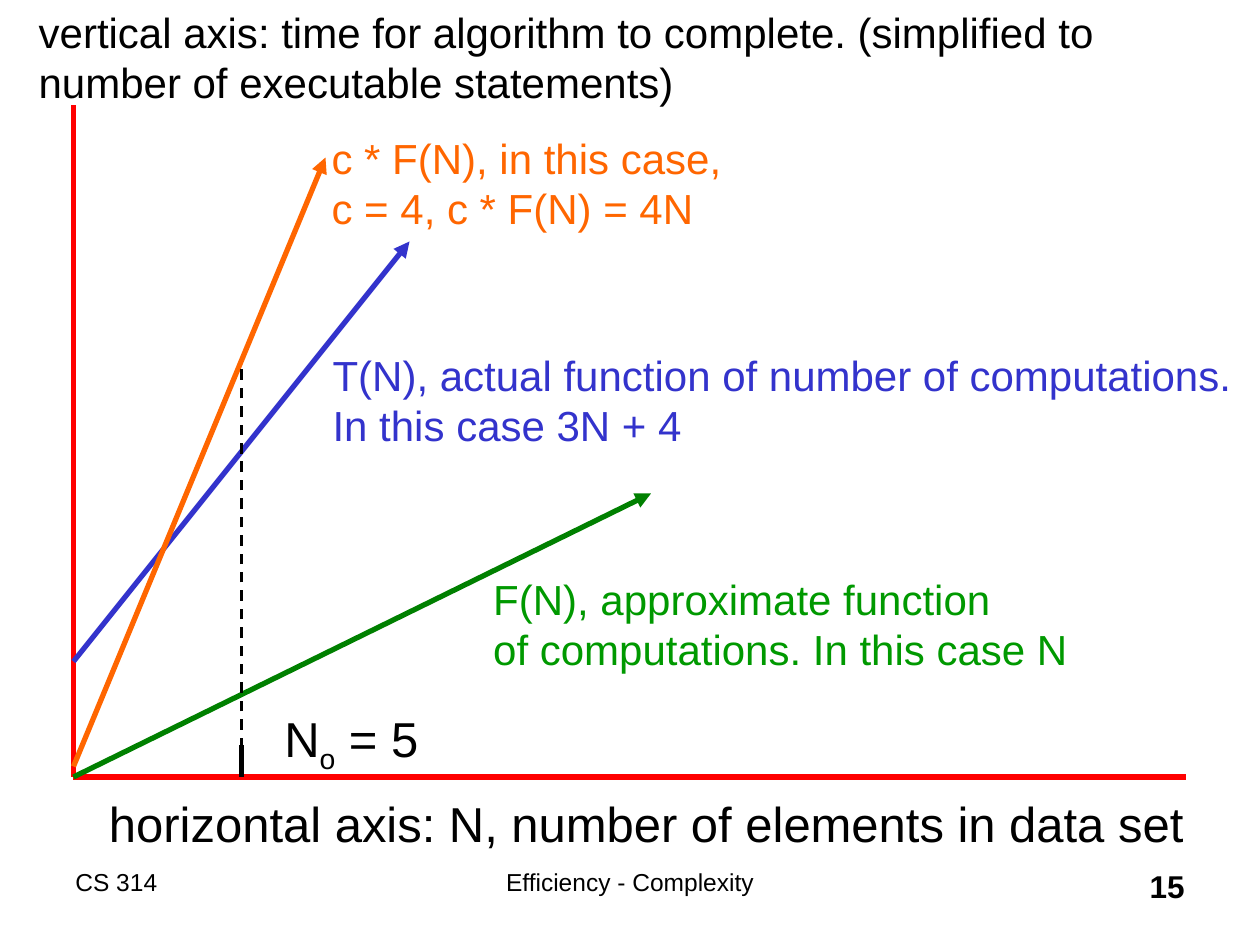
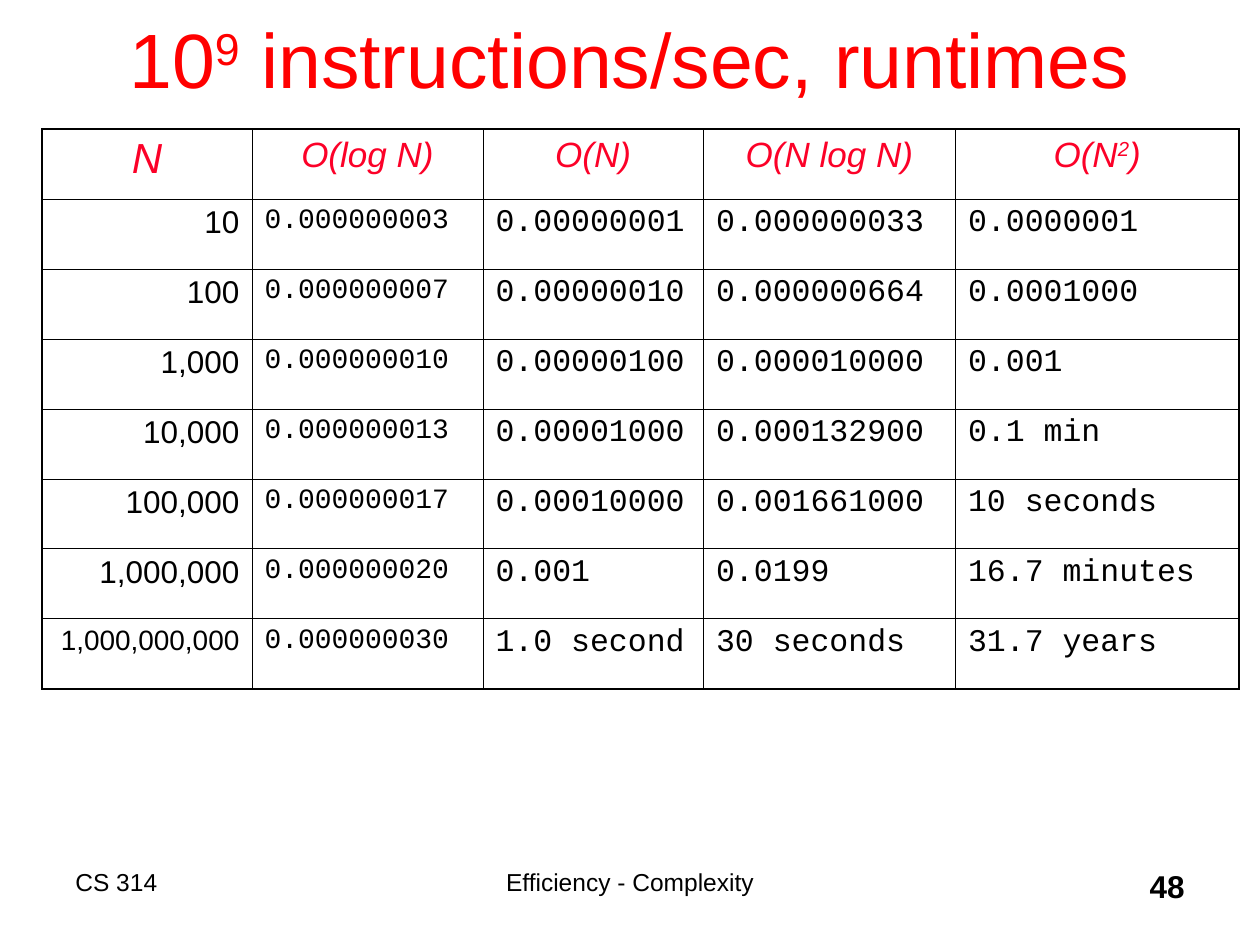
from dataclasses import dataclass

from lxml.etree import SubElement
from pptx import Presentation
from pptx.dml.color import RGBColor
from pptx.enum.dml import MSO_LINE
from pptx.enum.shapes import MSO_CONNECTOR
from pptx.enum.text import MSO_ANCHOR, MSO_AUTO_SIZE, PP_ALIGN
from pptx.oxml.ns import qn
from pptx.slide import Slide
from pptx.table import _Cell
from pptx.text.text import TextFrame
from pptx.util import Emu, Pt

LEFT, MID, RIGHT = PP_ALIGN.LEFT, PP_ALIGN.CENTER, PP_ALIGN.RIGHT
TOP, MIDDLE = MSO_ANCHOR.TOP, MSO_ANCHOR.MIDDLE
FIXED = MSO_AUTO_SIZE.NONE
DASH = MSO_LINE.DASH
STRAIGHT = MSO_CONNECTOR.STRAIGHT

BLACK = RGBColor(0x00, 0x00, 0x00)
RED = RGBColor(0xFF, 0x00, 0x00)
ROSE = RGBColor(0xFC, 0x01, 0x28)
BLUE = RGBColor(0x33, 0x33, 0xCC)
GREEN = RGBColor(0x00, 0x80, 0x00)
LEAF = RGBColor(0x00, 0x99, 0x00)
ORANGE = RGBColor(0xFF, 0x66, 0x00)

SANS = "Arial"
MONO = "Courier New"
SCALE = 7620
WIDE, HIGH = 1200, 900
THIN, THICK = 0.45, 1.08


def px(count: int) -> Emu:
    return Emu(count * SCALE)


@dataclass(frozen=True)
class Run:
    text: str
    base: int = 0


@dataclass(frozen=True)
class Style:
    size: int
    color: RGBColor = BLACK
    font: str = SANS
    align: PP_ALIGN = LEFT
    bold: bool = False
    slant: bool = False
    gap: float = 0


@dataclass(frozen=True)
class Label:
    box: tuple[int, int, int, int]
    runs: tuple[Run, ...]
    style: Style
    anchor: MSO_ANCHOR = TOP


@dataclass(frozen=True)
class Stroke:
    start: tuple[int, int]
    end: tuple[int, int]
    color: RGBColor
    arrow: bool = False
    dashed: bool = False


FOOT = Style(14)
FOOT_MID = Style(14, align=MID)
PAGE = Style(18, align=RIGHT, bold=True)
TITLE = Style(44, RED, align=MID)
AXIS = Style(28, gap=7)

ORIGIN = (70, 740)
STROKES = (
    Stroke(ORIGIN, (1130, 740), RED),
    Stroke(ORIGIN, (70, 100), RED),
    Stroke((70, 630), (390, 230), BLUE, arrow=True),
    Stroke(ORIGIN, (620, 470), GREEN, arrow=True),
    Stroke((230, 710), (230, 740), BLACK),
    Stroke((70, 730), (310, 150), ORANGE, arrow=True),
    Stroke((230, 730), (230, 350), BLACK, dashed=True),
)
LABELS = (
    Label((92, 750, 1060, 68),
          (Run("horizontal axis: N, number of elements in data set"),), AXIS),
    Label((25, 0, 1050, 108),
          (Run("vertical axis: time for algorithm to complete. (simplified to\n"
               "number of executable statements)"),), Style(24, gap=6)),
    Label((305, 327, 895, 108),
          (Run("T(N), actual function of number of computations.\n"
               "In this case 3N + 4"),), Style(24, BLUE, gap=6)),
    Label((458, 540, 590, 108),
          (Run("F(N), approximate function\n"
               "of computations. In this case N"),), Style(24, LEAF, gap=6)),
    Label((259, 669, 170, 76), (Run("N"), Run("o", -25), Run(" = 5")), AXIS),
    Label((304, 120, 420, 108),
          (Run("c * F(N), in this case,\nc = 4, c * F(N) = 4N"),),
          Style(24, ORANGE, gap=6)),
)

HEADS = (
    (Run("N"),),
    (Run("O(log N)"),),
    (Run("O(N)"),),
    (Run("O(N log N)"),),
    (Run("O(N"), Run("2", 30), Run(")")),
)
TIMES = (
    ("10", "0.000000003", "0.00000001", "0.000000033", "0.0000001"),
    ("100", "0.000000007", "0.00000010", "0.000000664", "0.0001000"),
    ("1,000", "0.000000010", "0.00000100", "0.000010000", "0.001"),
    ("10,000", "0.000000013", "0.00001000", "0.000132900", "0.1 min"),
    ("100,000", "0.000000017", "0.00010000", "0.001661000", "10 seconds"),
    ("1,000,000", "0.000000020", "0.001", "0.0199", "16.7 minutes"),
    ("1,000,000,000", "0.000000030", "1.0 second", "30 seconds", "31.7 years"),
)
WIDTHS = (200, 220, 210, 240, 270)


def write(frame: TextFrame, runs: tuple[Run, ...], style: Style) -> None:
    para = frame.paragraphs[0]
    para.alignment = style.align
    para.space_before = Pt(style.gap)
    for run in runs:
        for pos, line in enumerate(run.text.split("\n")):
            if pos:
                para.add_line_break()
            part = para.add_run()
            part.text = line
            font = part.font
            font.name, font.size = style.font, Pt(style.size)
            font.bold, font.italic = style.bold, style.slant
            font.color.rgb = style.color
            if run.base:
                part._r.get_or_add_rPr().set("baseline", str(run.base * 1000))


def add_label(slide: Slide, label: Label) -> None:
    frame = slide.shapes.add_textbox(*map(px, label.box)).text_frame
    frame.word_wrap = True
    frame.auto_size = FIXED
    frame.vertical_anchor = label.anchor
    write(frame, label.runs, label.style)


def add_stroke(slide: Slide, stroke: Stroke) -> None:
    link = slide.shapes.add_connector(
        STRAIGHT, *map(px, stroke.start + stroke.end))
    link.line.color.rgb = stroke.color
    link.line.width = Pt(1.5 if stroke.dashed else 3)
    if stroke.dashed:
        link.line.dash_style = DASH
    props = link._element.spPr
    if stroke.arrow:
        SubElement(props.find(qn("a:ln")), qn("a:tailEnd"), type="triangle")
    SubElement(props, qn("a:effectLst"))


def add_edge(cell: _Cell, side: str, width: float) -> None:
    props = cell._tc.get_or_add_tcPr()
    line = SubElement(props, qn(f"a:ln{side}"), w=str(Pt(width)))
    fill = SubElement(line, qn("a:solidFill"))
    SubElement(fill, qn("a:srgbClr"), val=str(BLACK))


def pick_style(row: int, col: int, text: str) -> Style:
    if row == 0:
        size = 20 if col else 24
        return Style(size, ROSE, align=MID, slant=True, gap=size / 4)
    size = 16 if col == 1 or len(text) > 12 and col == 0 else 18
    font, align = (MONO, LEFT) if col else (SANS, RIGHT)
    return Style(size, font=font, align=align, gap=size / 4)


def add_times(slide: Slide) -> None:
    rows = (HEADS, *(tuple((Run(text),) for text in line) for line in TIMES))
    table = slide.shapes.add_table(
        len(rows), len(WIDTHS), px(40), px(123), px(sum(WIDTHS)), px(533)).table
    table.first_row = table.horz_banding = False
    for col, width in zip(table.columns, WIDTHS):
        col.width = px(width)
    for row, line in enumerate(rows):
        for col, runs in enumerate(line):
            cell = table.cell(row, col)
            outer = {"L": col == 0, "R": col == len(WIDTHS) - 1,
                     "T": row == 0, "B": row == len(rows) - 1}
            for side, edge in outer.items():
                add_edge(cell, side, THICK if edge else THIN)
            cell.fill.background()
            write(cell.text_frame, runs, pick_style(row, col, runs[0].text))


def add_slide(deck, page: int) -> Slide:
    slide = deck.slides.add_slide(deck.slide_layouts[6])
    for left, width, text, style in (
        (60, 300, "CS 314", FOOT),
        (370, 460, "Efficiency - Complexity", FOOT_MID),
        (890, 250, str(page), PAGE),
    ):
        add_label(slide, Label((left, 820, width, 60), (Run(text),), style))
    return slide


def main() -> None:
    deck = Presentation()
    deck.slide_width, deck.slide_height = px(WIDE), px(HIGH)

    graph = add_slide(deck, 15)
    for stroke in STROKES:
        add_stroke(graph, stroke)
    for label in LABELS:
        add_label(graph, label)

    chart = add_slide(deck, 48)
    title = (Run("10"), Run("9", 30), Run(" instructions/sec, runtimes"))
    add_label(chart, Label((90, -20, 1020, 150), title, TITLE, MIDDLE))
    add_times(chart)

    deck.save("out.pptx")


if __name__ == "__main__":
    main()
